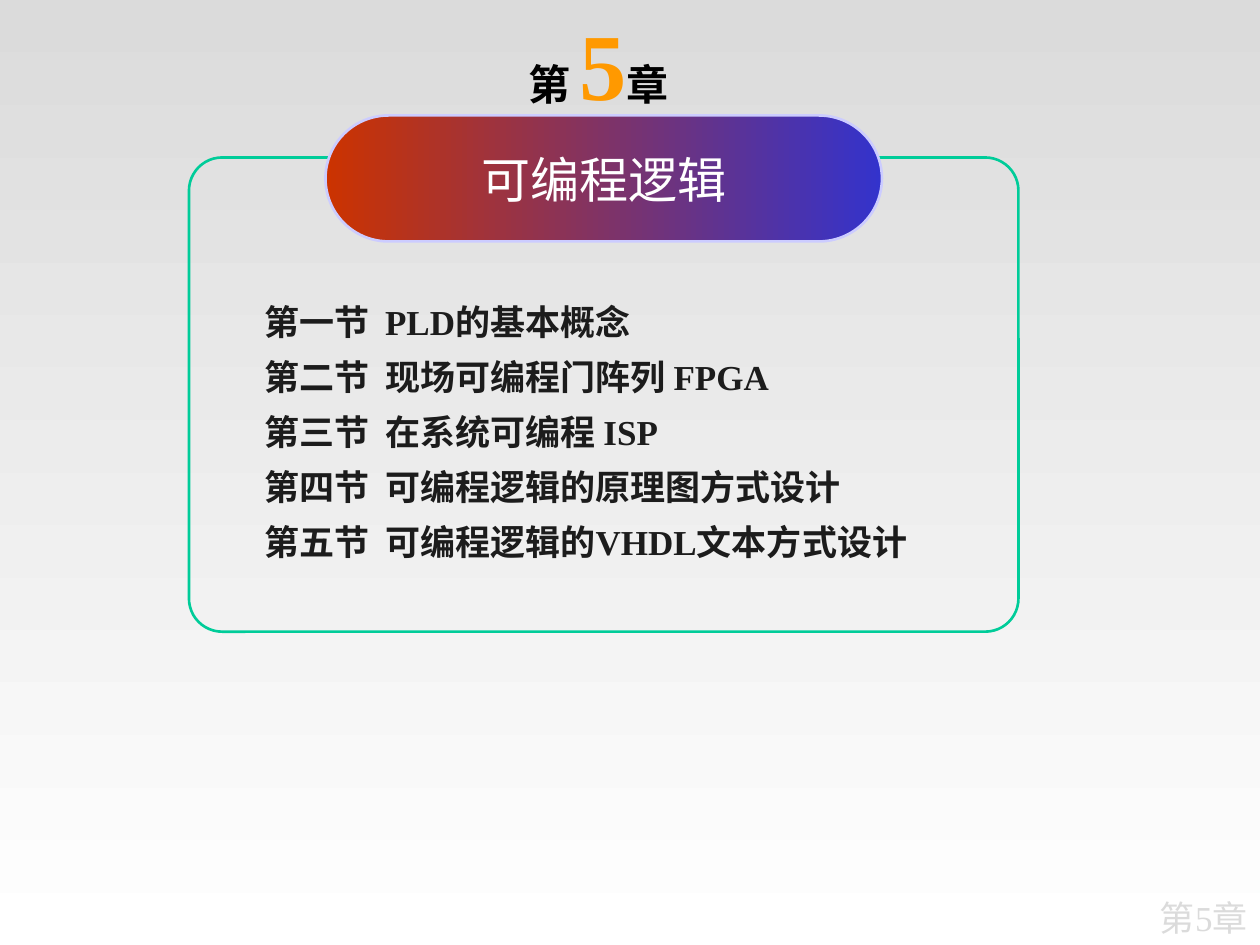
from pptx import Presentation
from pptx.dml.color import RGBColor
from pptx.enum.shapes import MSO_SHAPE
from pptx.enum.text import MSO_ANCHOR, PP_ALIGN
from pptx.oxml.ns import qn
from pptx.util import Pt
from lxml import etree

SILVER = RGBColor(0xDB, 0xDB, 0xDB)
WHITE = RGBColor(0xFF, 0xFF, 0xFF)
BLACK = RGBColor(0x00, 0x00, 0x00)
INK = RGBColor(0x1C, 0x1C, 0x1C)
ORANGE = RGBColor(0xFF, 0x99, 0x00)
GREEN = RGBColor(0x00, 0xCC, 0x99)
LAVENDER = RGBColor(0xCC, 0xCC, 0xFF)
BLUE = RGBColor(0x33, 0x33, 0xCC)
RED = RGBColor(0xCC, 0x33, 0x00)

SERIF = "Times New Roman"
SECTIONS = [
    ("第一节", "PLD的基本概念"),
    ("第二节", "现场可编程门阵列 FPGA"),
    ("第三节", "在系统可编程 ISP"),
    ("第四节", "可编程逻辑的原理图方式设计"),
    ("第五节", "可编程逻辑的VHDL文本方式设计"),
]


def set_gradient(fill, colors, angle):
    fill.gradient()
    fill.gradient_angle = angle
    for stop, position, color in zip(fill.gradient_stops, (0, 1), colors):
        stop.position = position
        stop.color.rgb = color


def add_run(paragraph, text, color, **font_format):
    run = paragraph.add_run()
    run.text = text
    run.font.color.rgb = color
    for name, value in font_format.items():
        setattr(run.font, name, value)


def add_text_frame(slide, box):
    text_frame = slide.shapes.add_textbox(*map(Pt, box)).text_frame
    text_frame.word_wrap = True
    return text_frame


def add_tab_stop(paragraph, position):
    properties = paragraph._p.get_or_add_pPr()
    tab_list = etree.SubElement(properties, qn("a:tabLst"))
    etree.SubElement(tab_list, qn("a:tab"), pos=str(Pt(position)), algn="l")


def add_rounded_box(slide, box, adjustment, line_color):
    shape = slide.shapes.add_shape(MSO_SHAPE.ROUNDED_RECTANGLE, *map(Pt, box))
    shape.adjustments[0] = adjustment
    shape.shadow.inherit = False
    shape.line.color.rgb = line_color
    shape.line.width = Pt(1.5)
    return shape


def add_footer(slide, box):
    paragraph = add_text_frame(slide, box).paragraphs[0]
    paragraph.alignment = PP_ALIGN.RIGHT
    add_run(paragraph, "第5章", SILVER, size=Pt(20), name=SERIF)


def add_chapter_number(slide, box):
    paragraph = add_text_frame(slide, box).paragraphs[0]
    paragraph.alignment = PP_ALIGN.CENTER
    for text, size, color in (("第 ", 24, BLACK), ("5", 54, ORANGE), ("章", 24, BLACK)):
        add_run(paragraph, text, color, size=Pt(size), name=SERIF, bold=True)


def add_section_list(slide, box):
    text_frame = add_text_frame(slide, box)
    for index, (number, title) in enumerate(SECTIONS):
        paragraph = text_frame.add_paragraph() if index else text_frame.paragraphs[0]
        add_tab_stop(paragraph, 69)
        if index:
            paragraph.space_before = Pt(7.5)
        add_run(paragraph, f"{number}\t{title}", INK, size=Pt(20), name=SERIF, bold=True)


def add_frame(slide, box):
    add_rounded_box(slide, box, 0.07, GREEN).fill.background()


def add_title_pill(slide, box):
    pill = add_rounded_box(slide, box, 0.5, LAVENDER)
    set_gradient(pill.fill, (BLUE, RED), 180)
    text_frame = pill.text_frame
    text_frame.vertical_anchor = MSO_ANCHOR.MIDDLE
    for side in ("left", "top", "right", "bottom"):
        setattr(text_frame, f"margin_{side}", 0)
    paragraph = text_frame.paragraphs[0]
    paragraph.alignment = PP_ALIGN.CENTER
    add_run(paragraph, "可编程逻辑", WHITE, size=Pt(28), name="Arial")


def main():
    presentation = Presentation()
    presentation.slide_width, presentation.slide_height = Pt(720), Pt(540)
    slide = presentation.slides.add_slide(presentation.slide_layouts[6])
    set_gradient(slide.background.fill, (SILVER, WHITE), 270)

    # Chapter mark in the corner and above the title
    add_footer(slide, (642, 509, 78, 31))
    add_chapter_number(slide, (216, 0, 252, 72))

    # Contents, with the title pill over the frame's top edge
    add_section_list(slide, (144, 168, 426, 158))
    add_frame(slide, (108, 90, 474, 271))
    add_title_pill(slide, (186, 66, 318, 72))

    presentation.save("out.pptx")


if __name__ == "__main__":
    main()
